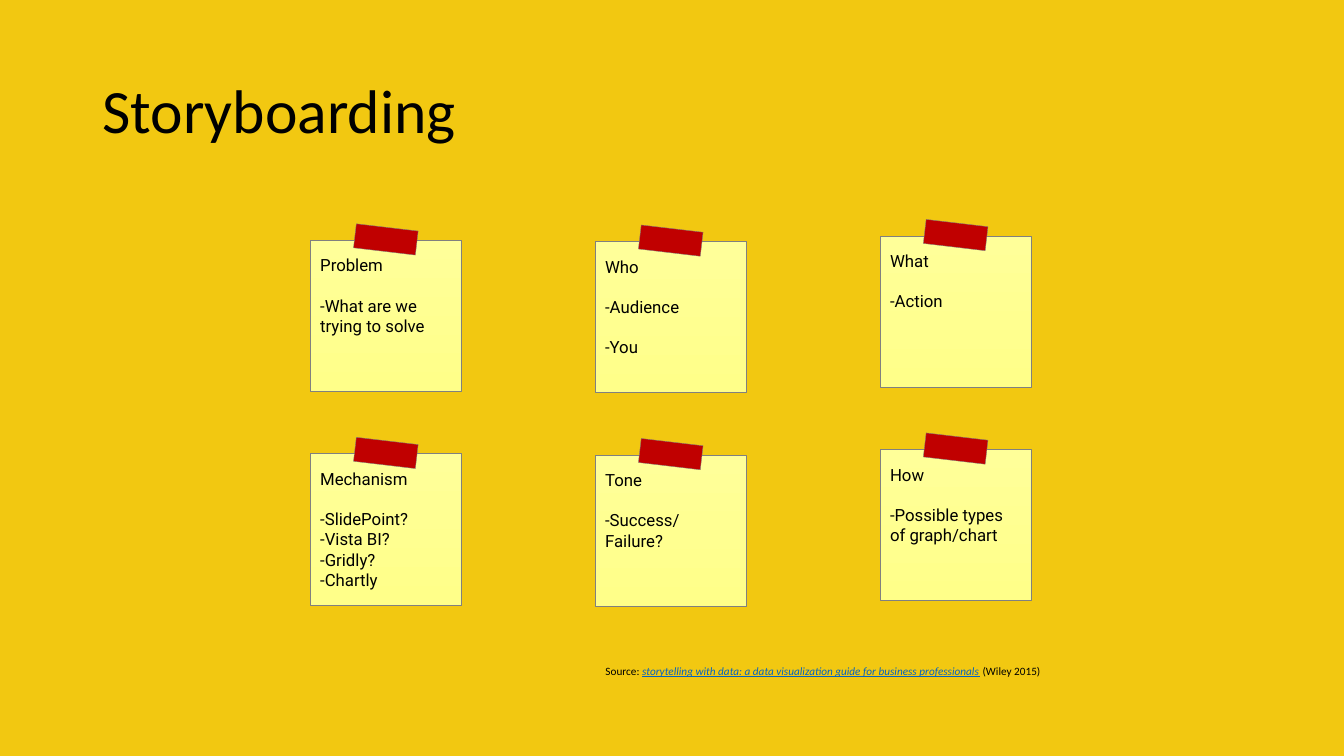
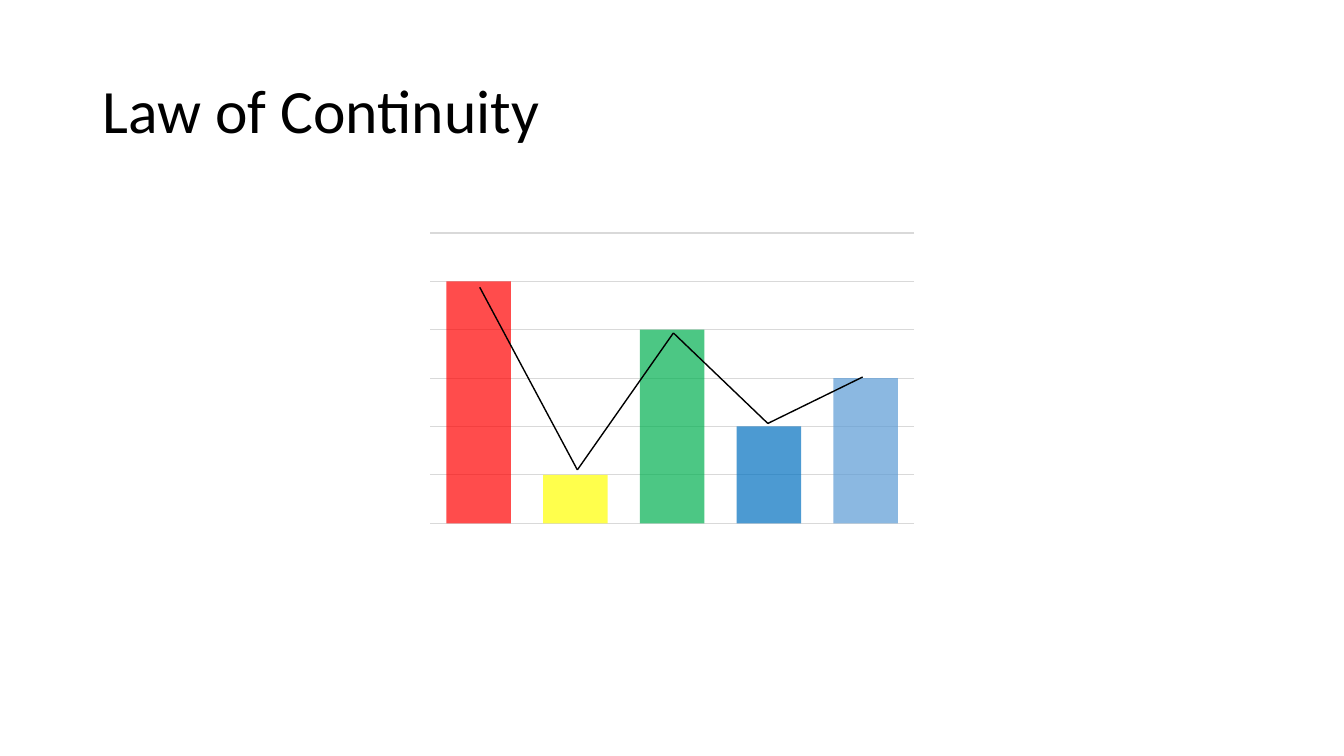
import itertools

import pptx
import pptx.chart.data
import pptx.dml.color
import pptx.enum.chart
import pptx.enum.shapes
import pptx.enum.text
import pptx.oxml.ns
import pptx.util
from lxml import etree

Cm = pptx.util.Cm
Pt = pptx.util.Pt

COLOURS = {
    "yellow": "F2C811", "white": "FFFFFF", "black": "000000",
    "note_top": "FFFF99", "note_bottom": "FFFF89", "note_edge": "808080",
    "tape": "C00000", "link": "0563C1", "grid": "D9D9D9",
}
BAR_COLOURS = ["FF0000", "FFFF00", "00B050", "0070C0", "5B9BD5"]
BAR_VALUES = [100, 20, 80, 40, 60]
BAR_ALPHA = 70
TITLE_BOX = (2.33, 1.02, 29.21, 3.68)

# Each note: a heading, then groups of lines set apart by a gap
NOTES = [
    [["Problem"], ["-What are we trying to solve"]],
    [["Who"], ["-Audience"], ["-You"]],
    [["What"], ["-Action"]],
    [["Mechanism"], ["-SlidePoint?", "-Vista BI?", "-Gridly?", "-Chartly"]],
    [["Tone"], ["-Success/Failure?"]],
    [["How"], ["-Possible types of graph/chart"]],
]
NOTE_SIDE = 3.81
NOTE_STEP = (7.18, 5.38)
NOTE_DROPS = [0.11, 0.14, 0]  # uneven hanging height of each column
# Points of the trend line, measured from the chart's corner
TREND = [(1.5, 1.52), (3.96, 6.12), (6.38, 2.67), (8.76, 4.95), (11.15, 3.78)]


def rgb(name):
    return pptx.dml.color.RGBColor.from_string(COLOURS.get(name, name))


def lengths(box):
    return [Cm(value) for value in box]


def style_span(span, size, font="Calibri", colour="black"):
    span.font.size = Pt(size)
    span.font.name = font
    span.font.color.rgb = rgb(colour)


def add_page(deck, background, title):
    """Blank page with a background colour and the shared title."""
    page = deck.slides.add_slide(deck.slide_layouts[6])
    page.background.fill.solid()
    page.background.fill.fore_color.rgb = rgb(background)
    frame = page.shapes.add_textbox(*lengths(TITLE_BOX)).text_frame
    frame.word_wrap = True
    frame.vertical_anchor = pptx.enum.text.MSO_ANCHOR.MIDDLE
    frame.text = title
    frame.paragraphs[0].line_spacing = 0.9
    style_span(frame.paragraphs[0].runs[0], 44)
    return page


def add_rectangle(group, box):
    shape = group.shapes.add_shape(
        pptx.enum.shapes.MSO_SHAPE.RECTANGLE, *lengths(box))
    shape.shadow.inherit = False
    shape.line.color.rgb = rgb("note_edge")
    shape.line.width = Pt(0.25)
    return shape


def add_note(page, left, top, sections):
    """Sticky note with a strip of tape over its top edge."""
    group = page.shapes.add_group_shape()
    note = add_rectangle(group, (left, top, NOTE_SIDE, NOTE_SIDE))
    note.fill.gradient()
    note.fill.gradient_angle = 270
    for stop, colour in zip(note.fill.gradient_stops, ("note_top", "note_bottom")):
        stop.color.rgb = rgb(colour)

    # Text
    frame = note.text_frame
    frame.word_wrap = True
    frame.vertical_anchor = pptx.enum.text.MSO_ANCHOR.TOP
    frame.margin_left = frame.margin_right = Cm(0.25)
    frame.margin_top, frame.margin_bottom = Cm(0.38), Cm(0.13)
    frame.text = "\n".join(itertools.chain.from_iterable(sections))
    paragraphs = iter(frame.paragraphs)
    for number, section in enumerate(sections):
        for row in range(len(section)):
            para = next(paragraphs)
            para.alignment = pptx.enum.text.PP_ALIGN.LEFT
            if number and row == 0:
                para.space_before = Pt(14.4)
            style_span(para.runs[0], 12, "Roboto")

    # Tape
    tape = add_rectangle(group, (left + 1.12, top - 0.32, 1.57, 0.61))
    tape.rotation = 6.7
    tape.fill.solid()
    tape.fill.fore_color.rgb = rgb("tape")


def add_note_board(page, left, top):
    for index, sections in enumerate(NOTES):
        row, column = divmod(index, len(NOTE_DROPS))
        add_note(page, left + column * NOTE_STEP[0],
                 top + row * NOTE_STEP[1] + NOTE_DROPS[column], sections)


def add_source(page, box):
    """Small source line with the book title set like a link."""
    frame = page.shapes.add_textbox(*lengths(box)).text_frame
    frame.word_wrap = True
    para = frame.paragraphs[0]
    book = "storytelling with data: a data visualization guide for business professionals"
    for text in ("Source: ", book, "\u00a0(Wiley 2015)".replace("\u00a0", " ")):
        span = para.add_run()
        span.text = text
        style_span(span, 8, colour="link" if text == book else "black")
        span.font.italic = span.font.underline = text == book


def add_bar_chart(page, box):
    """Column chart without axes, each bar in its own see-through colour."""
    data = pptx.chart.data.CategoryChartData()
    data.categories = [str(number + 1) for number in range(len(BAR_VALUES))]
    data.add_series("Series 1", BAR_VALUES)
    chart = page.shapes.add_chart(
        pptx.enum.chart.XL_CHART_TYPE.COLUMN_STACKED, *lengths(box), data).chart
    chart.has_legend = chart.has_title = False
    chart.font.size = Pt(10)
    chart.font.name = "Calibri"
    chart.font.color.rgb = rgb("black")

    # Axes and grid
    chart.category_axis.visible = False
    axis = chart.value_axis
    axis.visible = False
    axis.minimum_scale, axis.maximum_scale, axis.major_unit = 0, 120, 20
    axis.has_major_gridlines = True
    axis.major_gridlines.format.line.color.rgb = rgb("grid")
    axis.major_gridlines.format.line.width = Pt(0.75)

    # Bars
    plot = chart.plots[0]
    plot.gap_width, plot.overlap = 50, 100
    plot.vary_by_categories = False
    for index, colour in enumerate(BAR_COLOURS):
        bar = plot.series[0].points[index].format
        bar.fill.solid()
        bar.fill.fore_color.rgb = rgb(colour)
        bar.line.fill.background()
    tag = pptx.oxml.ns.qn
    for colour in plot.series[0]._element.iter(tag("a:srgbClr")):
        etree.SubElement(colour, tag("a:alpha")).set("val", str(BAR_ALPHA * 1000))


def add_trend(page, left, top):
    """Straight lines joining the tops of the bars."""
    corners = [(Cm(left + x), Cm(top + y)) for x, y in TREND]
    for start, end in itertools.pairwise(corners):
        line = page.shapes.add_connector(
            pptx.enum.shapes.MSO_CONNECTOR.STRAIGHT, *start, *end)
        line.line.color.rgb = rgb("black")
        line.line.width = Pt(1)
        etree.SubElement(line._element.spPr, pptx.oxml.ns.qn("a:effectLst"))


def build_storyboard(deck):
    page = add_page(deck, "yellow", "Storyboarding")
    add_note_board(page, 7.82, 5.94)
    add_source(page, (15.01, 16.61, 11.76, 0.61))


def build_continuity(deck):
    page = add_page(deck, "white", "Law of Continuity")
    left, top = 10.59, 5.72
    add_bar_chart(page, (left, top, 12.7, 7.62))
    add_trend(page, left, top)


def main():
    deck = pptx.Presentation()
    deck.slide_width, deck.slide_height = Cm(33.87), Cm(19.05)
    build_storyboard(deck)
    build_continuity(deck)
    deck.save("out.pptx")


if __name__ == "__main__":
    main()
